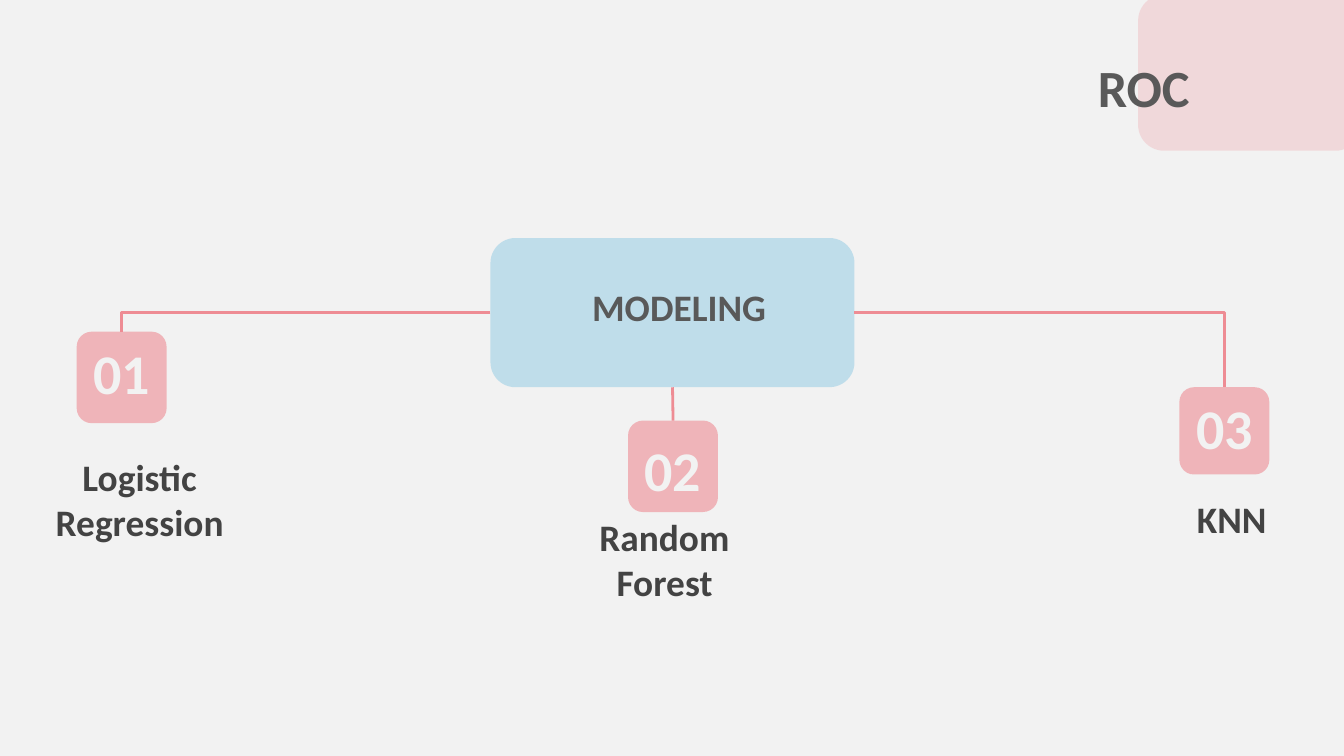
import dataclasses
import pptx
import pptx.dml.color
import pptx.enum.shapes
import pptx.enum.text
import pptx.oxml.ns
import pptx.util
from lxml import etree

Cm = pptx.util.Cm
Color = pptx.dml.color.RGBColor
Anchor = pptx.enum.text.MSO_ANCHOR
Link = pptx.enum.shapes.MSO_CONNECTOR
qn = pptx.oxml.ns.qn

PAPER = Color(0xF2, 0xF2, 0xF2)
PINK = Color(0xEE, 0x8C, 0x94)
BLUE = Color(0xAE, 0xD7, 0xE8)
GREY = Color(0x59, 0x59, 0x59)
DARK = Color(0x43, 0x43, 0x43)


@dataclasses.dataclass
class Box:
    left: float
    top: float
    width: float
    height: float

    def cm(self) -> tuple:
        return tuple(Cm(v) for v in dataclasses.astuple(self))


@dataclasses.dataclass
class Model:
    name: str
    top: float      # top of the number tile
    height: float   # height of the number tile
    digits: float   # top of the number text
    label: Box
    side: int       # side of the hub that the line leaves from
    kind: int


# Models, from left to right
MODELS = [
    Model("Logistic Regression", 6.27, 1.73, 6.4, Box(0, 8.33, 5.28, 1.8), 1, Link.ELBOW),
    Model("Random Forest", 7.95, 1.73, 8.23, Box(10.39, 9.47, 4.34, 1.27), 2, Link.STRAIGHT),
    Model("KNN", 7.32, 1.65, 7.44, Box(21.11, 9.12, 4.34, 1.27), 3, Link.ELBOW),
]
LEFT, STEP, TILE, WIDE = 1.45, 10.42, 1.7, 2.49


def write(shape, text: str, size: int = 20, color=DARK, anchor=Anchor.TOP) -> None:
    frame = shape.text_frame
    frame.word_wrap = True
    frame.auto_size = pptx.enum.text.MSO_AUTO_SIZE.NONE
    frame.vertical_anchor = anchor
    frame.margin_left = frame.margin_right = Cm(0.25)
    frame.margin_top = frame.margin_bottom = Cm(0.25)
    frame.text = text
    line = frame.paragraphs[0]
    line.alignment = pptx.enum.text.PP_ALIGN.CENTER
    line.font.name, line.font.size = "Calibri", pptx.util.Pt(size)
    line.font.bold, line.font.color.rgb = True, color


def label(slide, box: Box, text: str, **style) -> None:
    write(slide.shapes.add_textbox(*box.cm()), text, **style)


def tile(slide, box: Box, color: Color, alpha: int):
    kind = pptx.enum.shapes.MSO_SHAPE.ROUNDED_RECTANGLE
    shape = slide.shapes.add_shape(kind, *box.cm())
    shape.shadow.inherit = False
    shape.line.fill.background()
    shape.fill.solid()
    shape.fill.fore_color.rgb = color
    tint = shape._element.spPr.find(".//" + qn("a:srgbClr"))
    etree.SubElement(tint, qn("a:alpha"), val=str(alpha * 1000))
    return shape


def join(slide, hub, side: int, card, kind: int) -> None:
    line = slide.shapes.add_connector(kind, 0, 0, 0, 0)
    line.begin_connect(hub, side)
    line.end_connect(card, 0)
    line.line.color.rgb = PINK
    line.line.width = pptx.util.Pt(1.5)
    props = line._element.spPr
    etree.SubElement(props, qn("a:effectLst"))
    if kind == Link.ELBOW:  # a single bend
        props.find(qn("a:prstGeom")).set("prst", "bentConnector2")


def main() -> None:
    deck = pptx.Presentation()
    deck.slide_width, deck.slide_height = Cm(25.4), Cm(14.29)
    slide = deck.slides.add_slide(deck.slide_layouts[5])
    slide.background.fill.solid()
    slide.background.fill.fore_color.rgb = PAPER

    # Corner and title
    corner = tile(slide, Box(21.51, -0.1, 4.22, 2.95), PINK, 25)
    title = slide.shapes.title
    corner._element.addnext(title._element)
    title.left, title.top, title.width, title.height = Box(17.83, 0.5, 7.57, 2.29).cm()
    write(title, "ROC", size=28, color=GREY, anchor=Anchor.MIDDLE)

    # Hub
    hub = tile(slide, Box(9.27, 4.5, 6.88, 2.82), BLUE, 74)
    label(slide, Box(10.31, 5.13, 5.05, 1.27), "MODELING", color=GREY)

    # Models
    for i, model in enumerate(MODELS):
        left = LEFT + i * STEP
        card = tile(slide, Box(left, model.top, TILE, model.height), PINK, 60)
        join(slide, hub, model.side, card, model.kind)
        spot = Box(left + (TILE - WIDE) / 2, model.digits, WIDE, 1.27)
        label(slide, spot, f"{i + 1:02}", size=30, color=PAPER, anchor=Anchor.MIDDLE)
        label(slide, model.label, model.name)

    deck.save("out.pptx")


if __name__ == "__main__":
    main()
